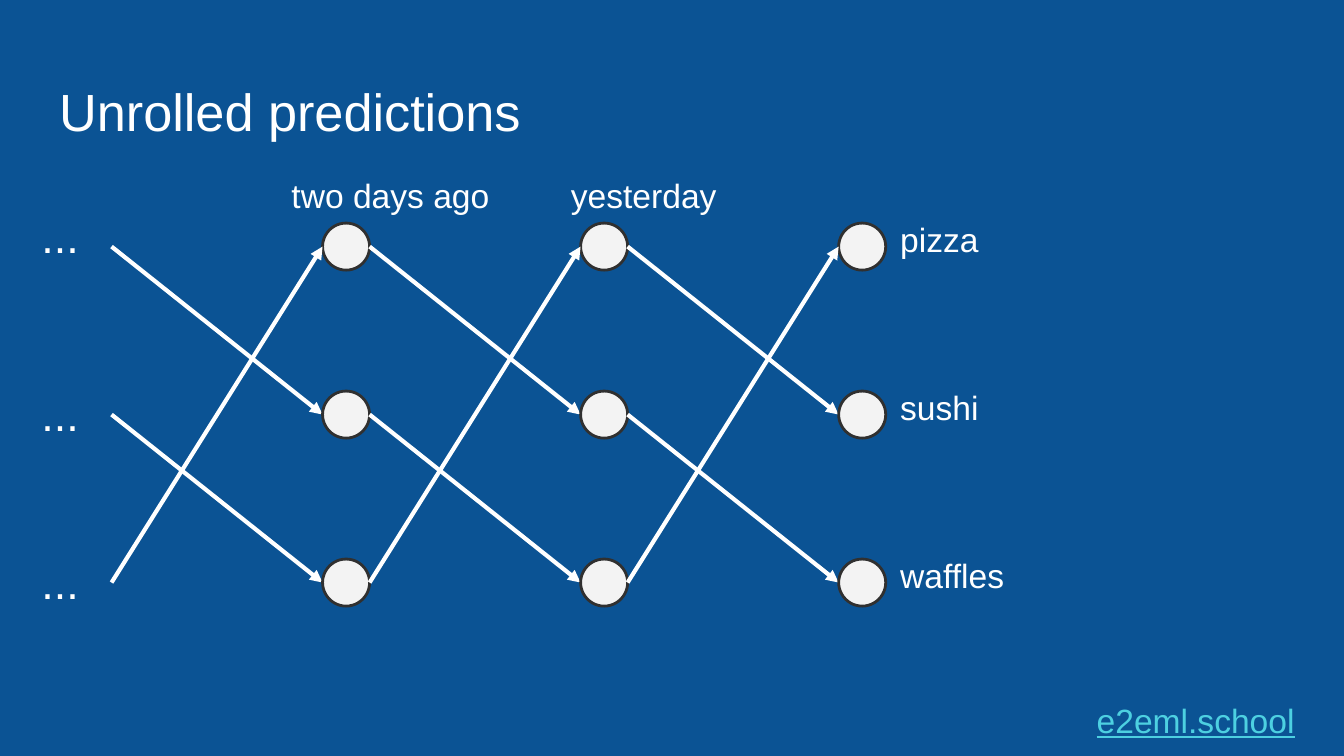
from dataclasses import dataclass

from pptx import Presentation
from pptx.dml.color import RGBColor
from pptx.enum.shapes import MSO_CONNECTOR, MSO_SHAPE
from pptx.enum.text import MSO_ANCHOR, MSO_AUTO_SIZE, PP_ALIGN
from pptx.oxml.ns import qn
from pptx.util import Inches, Pt
from lxml.etree import SubElement

COLORS = {
    "background": "0B5394",
    "text": "FFFFFF",
    "node": "F3F3F3",
    "outline": "303030",
    "link": "4DD0E1",
}
PAGE_WIDTH = 10
PAGE_HEIGHT = PAGE_WIDTH * 9 / 16
NODE_SIZE = 0.35
FIRST_COLUMN, COLUMN_STEP = 2.4, 1.92
FIRST_ROW, ROW_STEP = 1.66, 1.25
COLUMNS, ROWS = 3, 3


@dataclass
class Label:
    text: str
    left: float
    top: float
    width: float
    height: float = 0.58
    size: int = 18
    color: str = "text"


def color(name: str) -> RGBColor:
    return RGBColor.from_string(COLORS[name])


def node_left(column: int) -> float:
    return FIRST_COLUMN + column * COLUMN_STEP


def row_center(row: int) -> float:
    return FIRST_ROW + row * ROW_STEP + NODE_SIZE / 2


def write_label(box, label: Label):
    """Place a box, fill in its single line and return the paragraph."""
    box.left, box.top = Inches(label.left), Inches(label.top)
    box.width, box.height = Inches(label.width), Inches(label.height)
    frame = box.text_frame
    frame.word_wrap = True
    frame.auto_size = MSO_AUTO_SIZE.NONE
    frame.vertical_anchor = MSO_ANCHOR.TOP
    frame.margin_left = frame.margin_right = Inches(0.1)
    frame.margin_top = frame.margin_bottom = Inches(0.1)
    para = frame.paragraphs[0]
    para.text = label.text
    para.alignment = PP_ALIGN.LEFT
    para.space_before = Pt(0)
    para.font.name = "Arial"
    para.font.size = Pt(label.size)
    para.font.color.rgb = color(label.color)
    return para


def add_label(page, label: Label) -> None:
    box = page.shapes.add_textbox(0, 0, Inches(label.width), Inches(label.height))
    write_label(box, label)


def add_node(page, column: int, row: int) -> None:
    node = page.shapes.add_shape(
        MSO_SHAPE.OVAL,
        Inches(node_left(column)), Inches(FIRST_ROW + row * ROW_STEP),
        Inches(NODE_SIZE), Inches(NODE_SIZE),
    )
    node.shadow.inherit = False
    node.fill.solid()
    node.fill.fore_color.rgb = color("node")
    node.line.color.rgb = color("outline")
    node.line.width = Pt(1.5)


def add_arrow(page, column: int, row: int) -> None:
    """Lead from a row of the previous column to the next row, wrapping round."""
    arrow = page.shapes.add_connector(
        MSO_CONNECTOR.STRAIGHT,
        Inches(node_left(column - 1) + NODE_SIZE), Inches(row_center(row)),
        Inches(node_left(column)), Inches(row_center((row + 1) % ROWS)),
    )
    arrow.line.color.rgb = color("text")
    arrow.line.width = Pt(2.25)
    SubElement(arrow.line._get_or_add_ln(), qn("a:tailEnd"), type="triangle")
    SubElement(arrow._element.spPr, qn("a:effectLst"))


def main() -> None:
    deck = Presentation()
    deck.slide_width, deck.slide_height = Inches(PAGE_WIDTH), Inches(PAGE_HEIGHT)
    page = deck.slides.add_slide(deck.slide_layouts[0])
    page.background.fill.solid()
    page.background.fill.fore_color.rgb = color("background")

    # Title and site address
    write_label(page.shapes.title,
                Label("Unrolled predictions", 0.34, 0.49, 9.32, 0.63, 28))
    site = write_label(page.placeholders[1],
                       Label("e2eml.school", 8.06, 5.06, 1.79, 0.48, 18, "link"))
    site.font.underline = True
    site.line_spacing = 1.15
    site.space_after = Pt(16)

    # Days above the columns
    add_label(page, Label("two days ago", 2.07, 1.2, 1.89))
    add_label(page, Label("yesterday", 4.15, 1.2, 1.44))

    # Dinners to the right, earlier days to the left
    for row, dinner in enumerate(["pizza", "sushi", "waffles"]):
        add_label(page, Label(dinner, 6.6, 1.53 + row * ROW_STEP, 1.16))
    for top in (1.45, 2.78, 4.03):
        add_label(page, Label("...", 0.21, top, 0.49, size=24))

    # Network
    for column in range(COLUMNS):
        for row in range(ROWS):
            add_node(page, column, row)
            add_arrow(page, column, row)

    deck.save("out.pptx")


if __name__ == "__main__":
    main()
